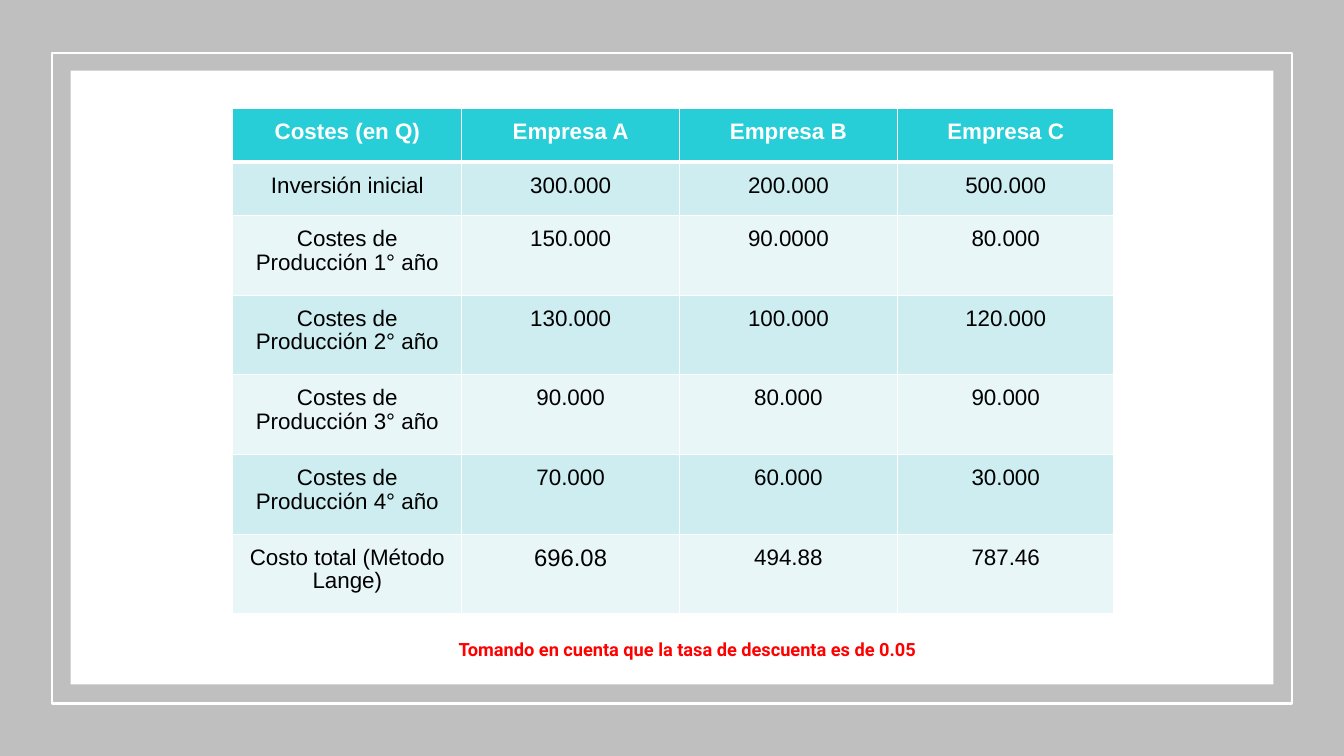
from lxml import etree
from pptx import Presentation
from pptx.dml.color import RGBColor
from pptx.enum.shapes import MSO_SHAPE
from pptx.enum.text import MSO_ANCHOR, PP_ALIGN
from pptx.oxml.ns import qn
from pptx.util import Inches, Pt

RECTANGLE = MSO_SHAPE.RECTANGLE
MIDDLE = MSO_ANCHOR.MIDDLE
LEFT, CENTER = PP_ALIGN.LEFT, PP_ALIGN.CENTER

COLORS = {
    "frame": "BFBFBF",
    "white": "FFFFFF",
    "header": "27CED7",
    "band_dark": "CDEDF0",
    "band_light": "E8F6F8",
    "text": "000000",
    "note": "FF0000",
}
COSTS = [
    ("Costes (en Q)", "Empresa A", "Empresa B", "Empresa C"),
    ("Inversión inicial", "300.000", "200.000", "500.000"),
    ("Costes de Producción 1° año", "150.000", "90.0000", "80.000"),
    ("Costes de Producción 2° año", "130.000", "100.000", "120.000"),
    ("Costes de Producción 3° año", "90.000", "80.000", "90.000"),
    ("Costes de Producción 4° año", "70.000", "60.000", "30.000"),
    ("Costo total (Método Lange)", "696.08", "494.88", "787.46"),
]
COLUMN_WIDTHS = [2.27, 2.16, 2.16, 2.15]
ROW_HEIGHTS = [0.53] * 2 + [0.79] * 5
CELL_MARGIN = 0.12


def rgb(name):
    return RGBColor.from_string(COLORS[name])


def write(frame, text, size=16, font="Arial", color="text", bold=False,
          align=CENTER, spacing=None):
    paragraph = frame.paragraphs[0]
    paragraph.alignment = align
    paragraph.line_spacing = spacing
    run = paragraph.add_run()
    run.text = text
    run.font.size = Pt(size)
    run.font.name = font
    run.font.bold = bold
    run.font.color.rgb = rgb(color)


def add_panel(slide, left, top, width, height, fill=None, line=None):
    panel = slide.shapes.add_shape(
        RECTANGLE, Inches(left), Inches(top), Inches(width), Inches(height))
    panel.shadow.inherit = False
    if fill:
        panel.fill.solid()
        panel.fill.fore_color.rgb = rgb(fill)
    else:
        panel.fill.background()
    if line:
        panel.line.color.rgb = rgb(line)
        panel.line.width = Pt(1.5)
    else:
        panel.line.fill.background()


def add_borders(cell, top, bottom):
    properties = cell._tc.get_or_add_tcPr()
    for side, width in (("L", 1), ("R", 1), ("T", top), ("B", bottom)):
        border = etree.SubElement(
            properties, qn(f"a:ln{side}"), w=str(Pt(width)))
        solid = etree.SubElement(border, qn("a:solidFill"))
        etree.SubElement(solid, qn("a:srgbClr"), val=COLORS["white"])


def format_cell(cell, row, text):
    is_header = row == 0
    add_borders(cell, top=3 if row == 1 else 1, bottom=3 if is_header else 1)
    band = "band_dark" if row % 2 else "band_light"
    cell.fill.solid()
    cell.fill.fore_color.rgb = rgb("header" if is_header else band)
    cell.margin_left = cell.margin_right = Inches(CELL_MARGIN)
    cell.margin_top = cell.margin_bottom = Inches(CELL_MARGIN)
    write(cell.text_frame, text, size=17 if text == "696.08" else 16,
          color="white" if is_header else "text", bold=is_header,
          spacing=0.95)


def add_cost_table(slide, left, top):
    costs = slide.shapes.add_table(
        len(COSTS), len(COLUMN_WIDTHS), Inches(left), Inches(top),
        Inches(sum(COLUMN_WIDTHS)), Inches(sum(ROW_HEIGHTS))).table
    for column, width in zip(costs.columns, COLUMN_WIDTHS):
        column.width = Inches(width)
    for row, (values, height) in enumerate(zip(COSTS, ROW_HEIGHTS)):
        costs.rows[row].height = Inches(height)
        for column, text in enumerate(values):
            format_cell(costs.cell(row, column), row, text)


def add_note(slide, text, left, top, width, height):
    note = slide.shapes.add_textbox(
        Inches(left), Inches(top), Inches(width), Inches(height)).text_frame
    note.word_wrap = False
    note.vertical_anchor = MIDDLE
    write(note, text, size=13, font="Roboto", color="note", bold=True,
          align=LEFT)


def main():
    presentation = Presentation()
    presentation.slide_width = Inches(13.33)
    presentation.slide_height = Inches(7.5)
    slide = presentation.slides.add_slide(presentation.slide_layouts[6])

    add_panel(slide, 0, 0, 13.33, 7.5, fill="frame")
    add_panel(slide, 0.52, 0.53, 12.29, 6.45, line="white")
    add_panel(slide, 0.7, 0.7, 11.93, 6.09, fill="white")
    add_note(slide, "Tomando en cuenta que la tasa de descuenta es de 0.05",
             4.45, 6.24, 5.08, 0.4)
    add_cost_table(slide, 2.31, 1.08)

    presentation.save("out.pptx")


if __name__ == "__main__":
    main()
